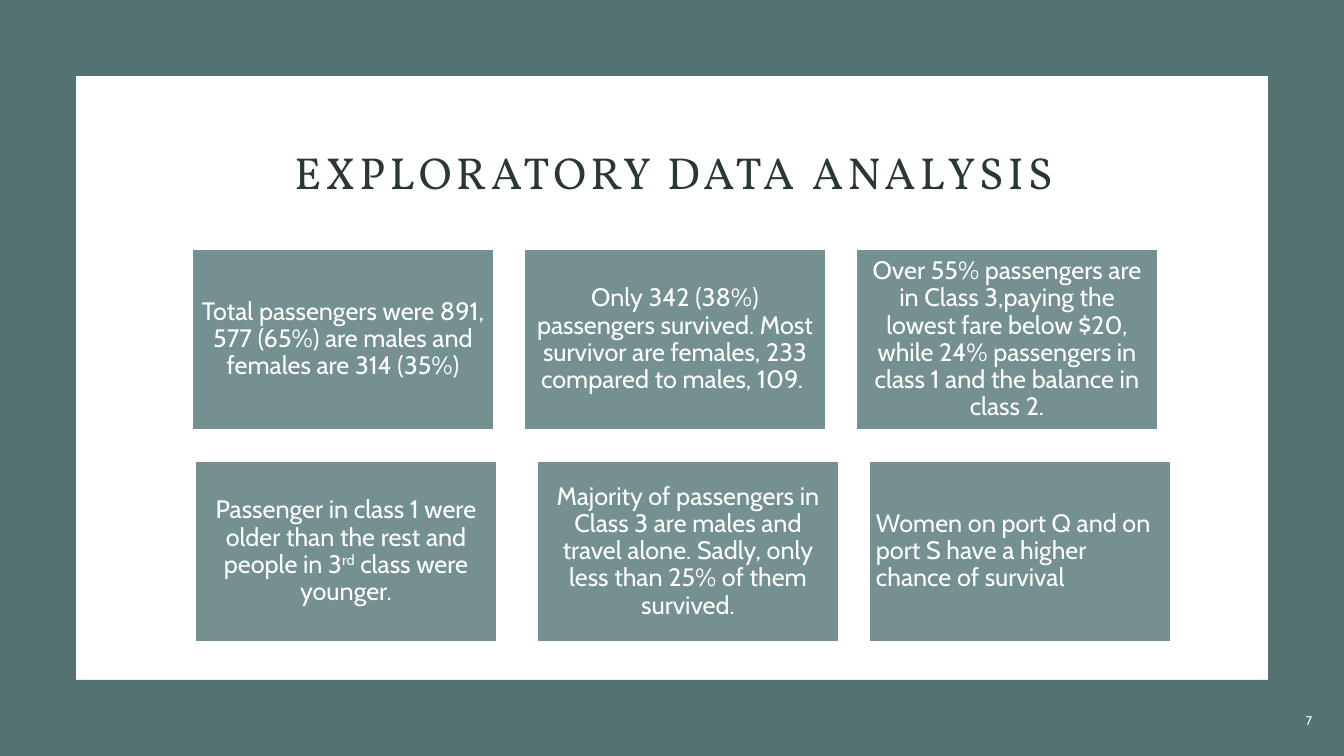
from pptx import Presentation
from pptx.dml.color import RGBColor
from pptx.enum.shapes import MSO_SHAPE as Shape
from pptx.enum.text import MSO_ANCHOR as Anchor, PP_ALIGN as Align
from pptx.util import Pt

COLORS = {"frame": "557272", "card": "749090", "title": "293737", "white": "FFFFFF"}
PX = 9144000 / 1008
WIDTH, HEIGHT, BORDER = 1344, 756, 76
CARD_WIDTH, CARD_HEIGHT, CARD_INSET = 302, 181, 7

TITLE = "EXPLORATORY DATA ANALYSIS"
PAGE = "7"
ROWS = [
    {"top": 249, "lefts": [192, 524, 856], "cards": [
        (Align.CENTER, ["Total passengers were 891, 577 (65%) are males and females are 314 (35%)"]),
        (Align.CENTER, ["Only 342 (38%) passengers survived. Most survivor are females, "
                        "233 compared to males, 109. "]),
        (Align.CENTER, ["Over 55% passengers are in Class 3,paying the lowest fare below $20, "
                        "while 24% passengers in class 1 and the balance in class 2."]),
    ]},
    {"top": 461, "lefts": [195, 537, 869], "cards": [
        (Align.CENTER, ["Passenger in class 1 were older than the rest and people in 3",
                        ("rd", 30000), " class were younger."]),
        (Align.CENTER, ["Majority of passengers in Class 3 are males and travel alone. "
                        "Sadly, only less than 25% of them survived."]),
        (Align.LEFT, ["Women on port Q and on port S have a higher chance of survival"]),
    ]},
]


def emu(*lengths):
    return [round(length * PX) for length in lengths]


def color(name):
    return RGBColor.from_string(COLORS[name])


def write(shape, pieces, align, anchor, size, font, ink, spacing=0):
    frame = shape.text_frame
    frame.word_wrap = True
    frame.vertical_anchor = anchor
    paragraph = frame.paragraphs[0]
    paragraph.alignment = align
    paragraph.line_spacing = 0.9
    for piece in pieces:
        text, baseline = piece if isinstance(piece, tuple) else (piece, 0)
        run = paragraph.add_run()
        run.text = text
        run.font.size = Pt(size)
        run.font.name = font
        run.font.color.rgb = color(ink)
        properties = run.font._element
        if spacing:
            properties.set("spc", str(spacing))
        if baseline:
            properties.set("baseline", str(baseline))


def add_filled(slide, kind, box, fill):
    shape = slide.shapes.add_shape(kind, *emu(*box))
    shape.shadow.inherit = False
    shape.fill.solid()
    shape.fill.fore_color.rgb = color(fill)
    return shape


def add_card(slide, left, top, align, pieces):
    card = add_filled(slide, Shape.RECTANGLE, (left, top, CARD_WIDTH, CARD_HEIGHT), "card")
    card.line.color.rgb = color("white")
    card.line.width = Pt(1.5)
    frame = card.text_frame
    inset = emu(CARD_INSET)[0]
    frame.margin_left = frame.margin_right = inset
    frame.margin_top = frame.margin_bottom = inset
    write(card, pieces, align, Anchor.MIDDLE, 18, "Cabin", "white")


def main():
    presentation = Presentation()
    presentation.slide_width, presentation.slide_height = emu(WIDTH, HEIGHT)
    slide = presentation.slides.add_slide(presentation.slide_layouts[6])

    border = add_filled(slide, Shape.FRAME, (0, 0, WIDTH, HEIGHT), "frame")
    border.adjustments[0] = BORDER / HEIGHT
    border.line.fill.background()

    title = slide.shapes.add_textbox(*emu(151, 124, 1046, 80))
    write(title, [TITLE], Align.CENTER, Anchor.BOTTOM, 32, "Vollkorn", "title", 300)
    number = slide.shapes.add_textbox(*emu(1226, 701, 96, 40))
    write(number, [PAGE], Align.RIGHT, Anchor.MIDDLE, 9, "Cabin", "white", 300)

    for row in ROWS:
        for left, (align, pieces) in zip(row["lefts"], row["cards"]):
            add_card(slide, left, row["top"], align, pieces)

    presentation.save("out.pptx")


if __name__ == "__main__":
    main()
